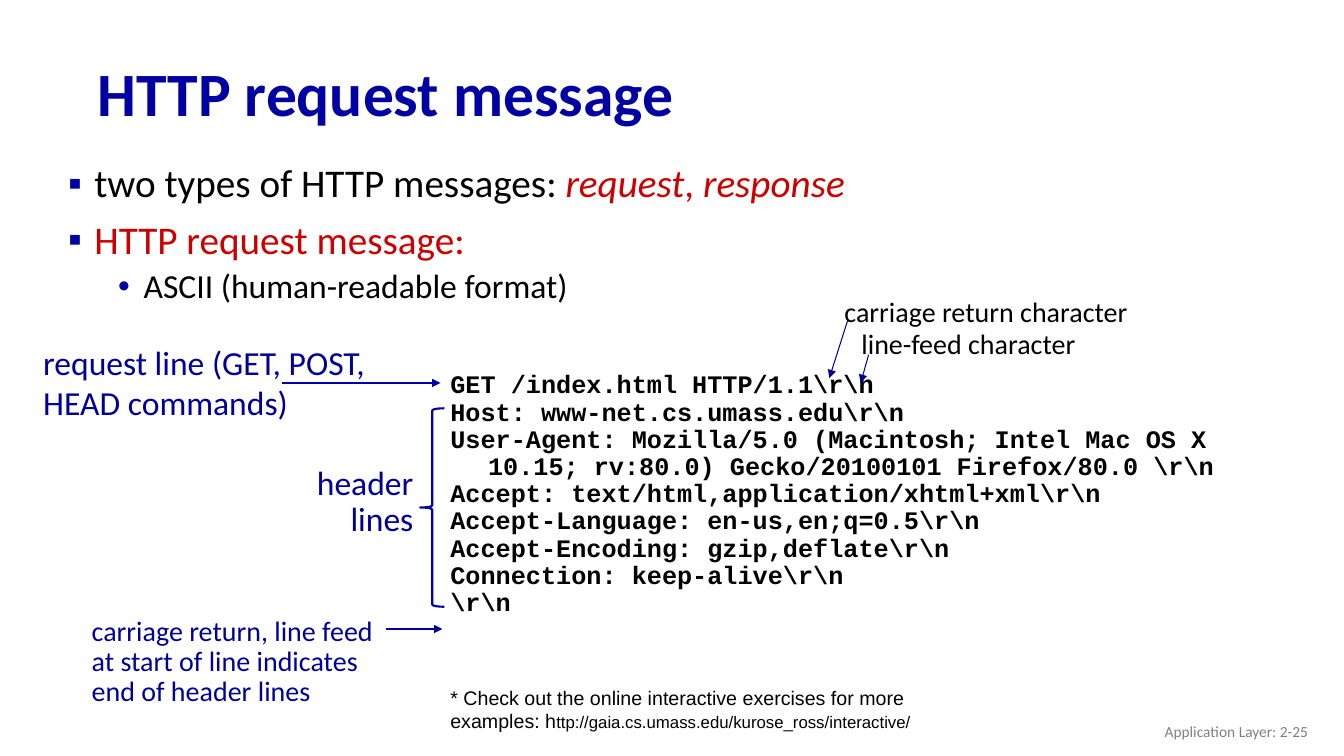
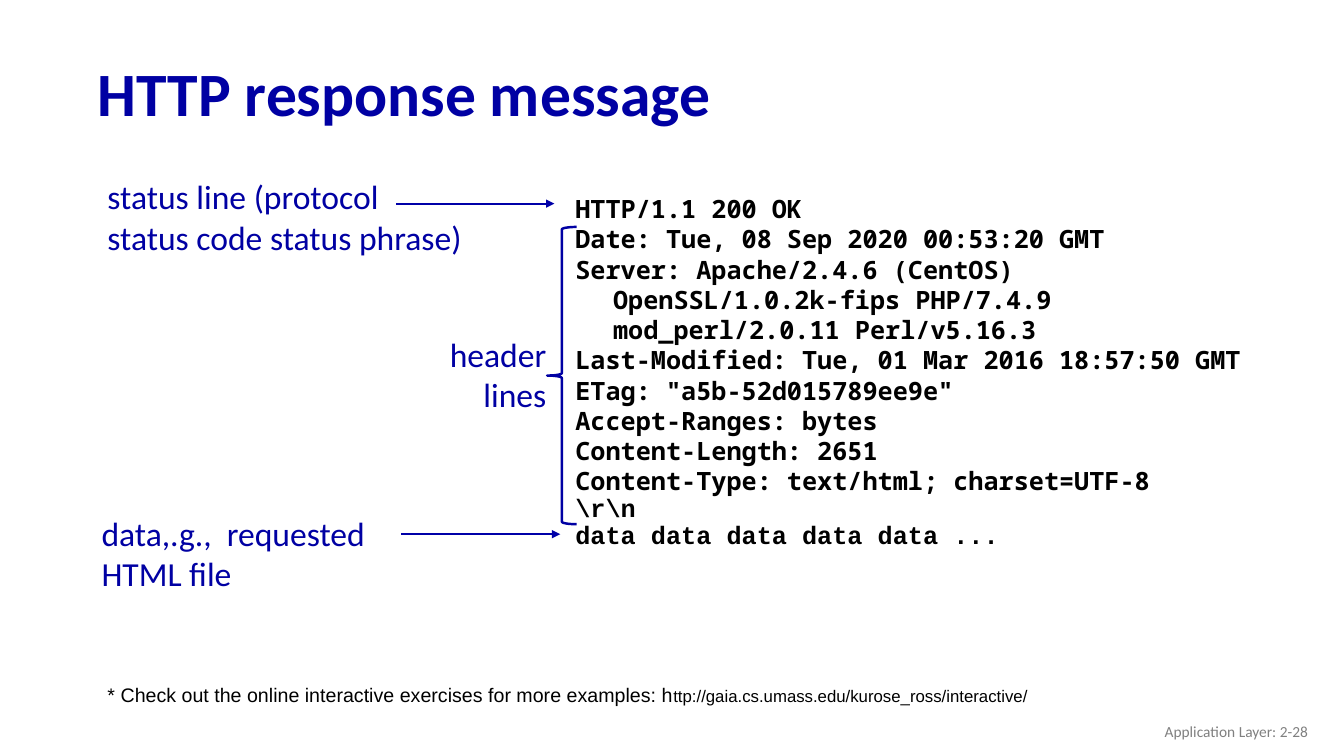
"""Build two slides on the HTTP request and response message formats."""
from dataclasses import dataclass, replace
from typing import NamedTuple, Optional

from lxml.etree import SubElement
from pptx import Presentation
from pptx.dml.color import RGBColor as RGB
from pptx.enum.shapes import MSO_CONNECTOR as CONNECTOR, MSO_SHAPE as SHAPE
from pptx.enum.text import MSO_ANCHOR as ANCHOR, PP_ALIGN as ALIGN
from pptx.oxml.ns import qn
from pptx.slide import Slide
from pptx.text.text import TextFrame, _Paragraph as Paragraph
from pptx.util import Cm, Pt

NAVY = RGB(0x00, 0x00, 0xA3)
ARROW_BLUE = RGB(0x00, 0x00, 0xA8)
LABEL_BLUE = RGB(0x00, 0x00, 0x99)
RED = RGB(0xCC, 0x00, 0x00)
BLACK = RGB(0x00, 0x00, 0x00)
GRAY = RGB(0x80, 0x80, 0x80)


@dataclass(frozen=True)
class Style:
    """How a piece of text looks."""
    size: float
    color: RGB = BLACK
    font: str = "Calibri"
    bold: bool = False
    italic: bool = False
    spacing: float = 1.0
    align: ALIGN = ALIGN.LEFT
    anchor: ANCHOR = ANCHOR.TOP
    wrap: bool = True
    hang: float = 0.0


class Box(NamedTuple):
    """A rectangle in centimetres."""
    left: float
    top: float
    width: float
    height: float


class Label(NamedTuple):
    """Text in a box."""
    text: str
    box: Box
    style: Style


class Arrow(NamedTuple):
    """A line with a head at its end, in centimetres."""
    x1: float
    y1: float
    x2: float
    y2: float
    color: RGB = ARROW_BLUE
    width: float = 1.5


class Brace(NamedTuple):
    """A left brace and its line width in points."""
    box: Box
    width: float


class Span(NamedTuple):
    """A run of text in a bullet."""
    text: str
    color: RGB = BLACK
    italic: bool = False


class Bullet(NamedTuple):
    """A bulleted paragraph."""
    spans: tuple[Span, ...]
    level: int = 0


class BulletLevel(NamedTuple):
    """The look of one bullet level."""
    char: str
    color: RGB
    left: float
    hang: float
    size: float
    before: float


LEVELS = (
    BulletLevel("▪", NAVY, 0.66, 0.66, 28, 10),
    BulletLevel("•", ARROW_BLUE, 1.9, 0.64, 24, 5),
)

TITLE = Style(44, NAVY, bold=True, spacing=0.9, anchor=ANCHOR.MIDDLE)
FOOTER = Style(11, GRAY, align=ALIGN.RIGHT, anchor=ANCHOR.MIDDLE)
NOTE = Style(14, font="Arial")
CALLOUT = Style(24, NAVY)
SIDE = replace(CALLOUT, align=ALIGN.RIGHT, wrap=False)
REQUEST_CALLOUT = replace(CALLOUT, color=LABEL_BLUE)
REQUEST_SIDE = replace(SIDE, color=LABEL_BLUE, spacing=0.9)
END_CALLOUT = Style(20, LABEL_BLUE, spacing=0.9)
CHARACTER = Style(20, wrap=False)
REQUEST_CODE = Style(18, font="Courier New", bold=True, spacing=0.9, hang=0.95)
RESPONSE_CODE = replace(REQUEST_CODE, font="Noto Sans Mono", spacing=1.0)

TITLE_BOX = Box(2.21, 1.19, 29.21, 2.49)
FOOTER_BOX = Box(25.6, 17.91, 7.62, 1.02)
BODY_BOX = Box(1.47, 4.01, 32.39, 3.96)
NOTE_TEXT = "* Check out the online interactive exercises for more examples: h"
NOTE_URL = "ttp://gaia.cs.umass.edu/kurose_ross/interactive/"

BULLETS = (
    Bullet((Span("two types of HTTP messages: "), Span("request", RED, True),
            Span(", ", RED), Span("response", RED, True))),
    Bullet((Span("HTTP request message:", RED),)),
    Bullet((Span("ASCII (human-readable format)"),), 1),
)

REQUEST = r"""GET /index.html HTTP/1.1\r\n
Host: www-net.cs.umass.edu\r\n
User-Agent: Mozilla/5.0 (Macintosh; Intel Mac OS X 10.15; rv:80.0) Gecko/20100101 Firefox/80.0 \r\n
Accept: text/html,application/xhtml+xml\r\n
Accept-Language: en-us,en;q=0.5\r\n
Accept-Encoding: gzip,deflate\r\n
Connection: keep-alive\r\n
\r\n"""

RESPONSE = r"""HTTP/1.1 200 OK
Date: Tue, 08 Sep 2020 00:53:20 GMT
Server: Apache/2.4.6 (CentOS) OpenSSL/1.0.2k-fips PHP/7.4.9 mod_perl/2.0.11 Perl/v5.16.3
Last-Modified: Tue, 01 Mar 2016 18:57:50 GMT
ETag: "a5b-52d015789ee9e"
Accept-Ranges: bytes
Content-Length: 2651
Content-Type: text/html; charset=UTF-8
\r\n
data data data data data ..."""

REQUEST_LABELS = (
    Label("header\nlines", Box(7.7, 11.63, 2.97, 2.11), REQUEST_SIDE),
    Label(REQUEST, Box(11.1, 9.25, 22, 6.5), REQUEST_CODE),
    Label("carriage return character", Box(21.03, 7.29, 7.72, 1.12), CHARACTER),
    Label("line-feed character", Box(21.46, 8.1, 5.97, 1.12), CHARACTER),
    Label("request line (GET, POST,\nHEAD commands)", Box(0.84, 8.48, 8.79, 2.31), REQUEST_CALLOUT),
    Label("carriage return, line feed at start of line indicates end of header lines",
          Box(2.06, 15.42, 7.7, 2.57), END_CALLOUT),
)
REQUEST_ARROWS = (
    Arrow(21.36, 8.08, 20.9, 9.53, LABEL_BLUE, 0.75),
    Arrow(21.89, 8.94, 21.69, 9.65, LABEL_BLUE, 0.75),
    Arrow(7.11, 9.65, 11.1, 9.65),
    Arrow(9.73, 15.85, 11.15, 15.85, LABEL_BLUE),
)
RESPONSE_LABELS = (
    Label("status line (protocol\nstatus code status phrase)", Box(2.46, 4.32, 11.28, 2.31), CALLOUT),
    Label("header\nlines", Box(11.05, 8.28, 2.97, 2.31), SIDE),
    Label("data,.g.,  requested\nHTML file", Box(2.31, 12.8, 10.01, 2.31), CALLOUT),
)
RESPONSE_ARROWS = (
    Arrow(9.98, 5.13, 13.97, 5.13),
    Arrow(10.11, 13.46, 14.12, 13.46),
)


def set_indent(p: Paragraph, left: float, hang: float, level: Optional[BulletLevel] = None) -> None:
    """Give a paragraph a hanging indent and, if asked, a bullet."""
    pPr = p._p.get_or_add_pPr()
    pPr.set("marL", str(Cm(left)))
    pPr.set("indent", str(-Cm(hang)))
    if level:
        color = SubElement(pPr, qn("a:buClr"))
        SubElement(color, qn("a:srgbClr")).set("val", str(level.color))
        SubElement(pPr, qn("a:buFont")).set("typeface", "Arial")
        SubElement(pPr, qn("a:buChar")).set("char", level.char)


def format_paragraph(p: Paragraph, style: Style) -> None:
    """Apply a style to a paragraph and its runs."""
    p.alignment = style.align
    p.line_spacing = style.spacing
    if style.hang:
        set_indent(p, style.hang, style.hang)
    for r in p.runs:
        r.font.size = Pt(style.size)
        r.font.name = style.font
        r.font.bold = style.bold
        r.font.italic = style.italic
        r.font.color.rgb = style.color


def add_text(s: Slide, label: Label) -> TextFrame:
    """Draw a label and return its text frame."""
    tf = s.shapes.add_textbox(*map(Cm, label.box)).text_frame
    tf.word_wrap = label.style.wrap
    tf.vertical_anchor = label.style.anchor
    tf.text = label.text
    for p in tf.paragraphs:
        format_paragraph(p, label.style)
    return tf


def add_bullets(s: Slide, box: Box, bullets: tuple[Bullet, ...]) -> None:
    """Draw a bulleted list."""
    tf = s.shapes.add_textbox(*map(Cm, box)).text_frame
    tf.word_wrap = True
    for i, bullet in enumerate(bullets):
        p = tf.add_paragraph() if i else tf.paragraphs[0]
        level = LEVELS[bullet.level]
        p.level = bullet.level
        set_indent(p, level.left, level.hang, level)
        p.line_spacing = 0.9
        if i:
            p.space_before = Pt(level.before)
        for span in bullet.spans:
            r = p.add_run()
            r.text = span.text
            r.font.size = Pt(level.size)
            r.font.name = "Calibri"
            r.font.italic = span.italic
            r.font.color.rgb = span.color


def add_arrow(s: Slide, arrow: Arrow) -> None:
    """Draw an arrow."""
    ends = map(Cm, (arrow.x1, arrow.y1, arrow.x2, arrow.y2))
    sp = s.shapes.add_connector(CONNECTOR.STRAIGHT, *ends)
    sp.line.color.rgb = arrow.color
    sp.line.width = Pt(arrow.width)
    spPr = sp.element.spPr
    SubElement(spPr.find(qn("a:ln")), qn("a:tailEnd")).set("type", "triangle")
    SubElement(spPr, qn("a:effectLst"))


def add_brace(s: Slide, brace: Brace) -> None:
    """Draw a left brace."""
    sp = s.shapes.add_shape(SHAPE.LEFT_BRACE, *map(Cm, brace.box))
    sp.shadow.inherit = False
    sp.fill.background()
    sp.line.color.rgb = NAVY
    sp.line.width = Pt(brace.width)


def add_note(s: Slide, box: Box) -> None:
    """Draw the note on the exercises, with its address in smaller type."""
    p = add_text(s, Label(NOTE_TEXT, box, NOTE)).paragraphs[0]
    p.add_run().text = NOTE_URL
    format_paragraph(p, NOTE)
    p.runs[-1].font.size = Pt(12)


def add_message_slide(prs: Presentation, title: str, number: int, labels: tuple[Label, ...],
                      arrows: tuple[Arrow, ...], brace: Brace, note: Box) -> Slide:
    """Add a slide with title, labels, arrows, brace, note and footer."""
    s = prs.slides.add_slide(prs.slide_layouts[6])
    add_text(s, Label(title, TITLE_BOX, TITLE))
    for label in labels:
        add_text(s, label)
    for arrow in arrows:
        add_arrow(s, arrow)
    add_brace(s, brace)
    add_note(s, note)
    add_text(s, Label(f"Application Layer: 2-{number}", FOOTER_BOX, FOOTER))
    return s


def main() -> None:
    """Build and save the presentation."""
    prs = Presentation()
    prs.slide_width, prs.slide_height = Cm(33.87), Cm(19.05)

    s = add_message_slide(prs, "HTTP request message", 25, REQUEST_LABELS, REQUEST_ARROWS,
                          Brace(Box(10.59, 10.29, 0.61, 5), 1.5), Box(11.1, 17.15, 12.52, 1.45))
    add_bullets(s, BODY_BOX, BULLETS)

    s = add_message_slide(prs, "HTTP response message", 28, RESPONSE_LABELS, RESPONSE_ARROWS,
                          Brace(Box(13.79, 5.72, 0.74, 7.49), 1.75), Box(2.46, 17.09, 26.44, 0.86))
    tf = add_text(s, Label(RESPONSE, Box(14.25, 4.75, 17.53, 9.7), RESPONSE_CODE))
    for p in tf.paragraphs[-2:]:
        format_paragraph(p, REQUEST_CODE)

    prs.save("out.pptx")


if __name__ == "__main__":
    main()
